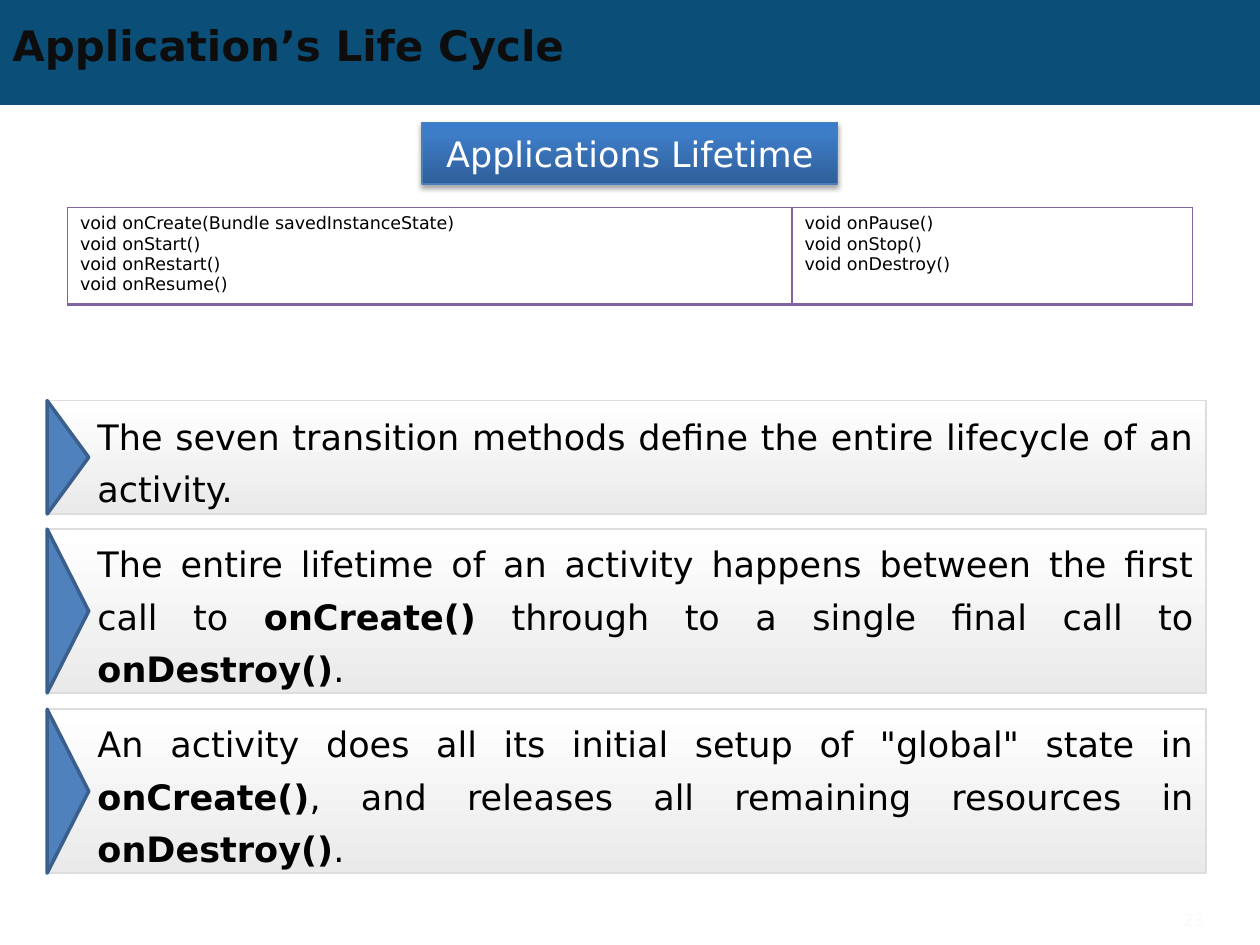
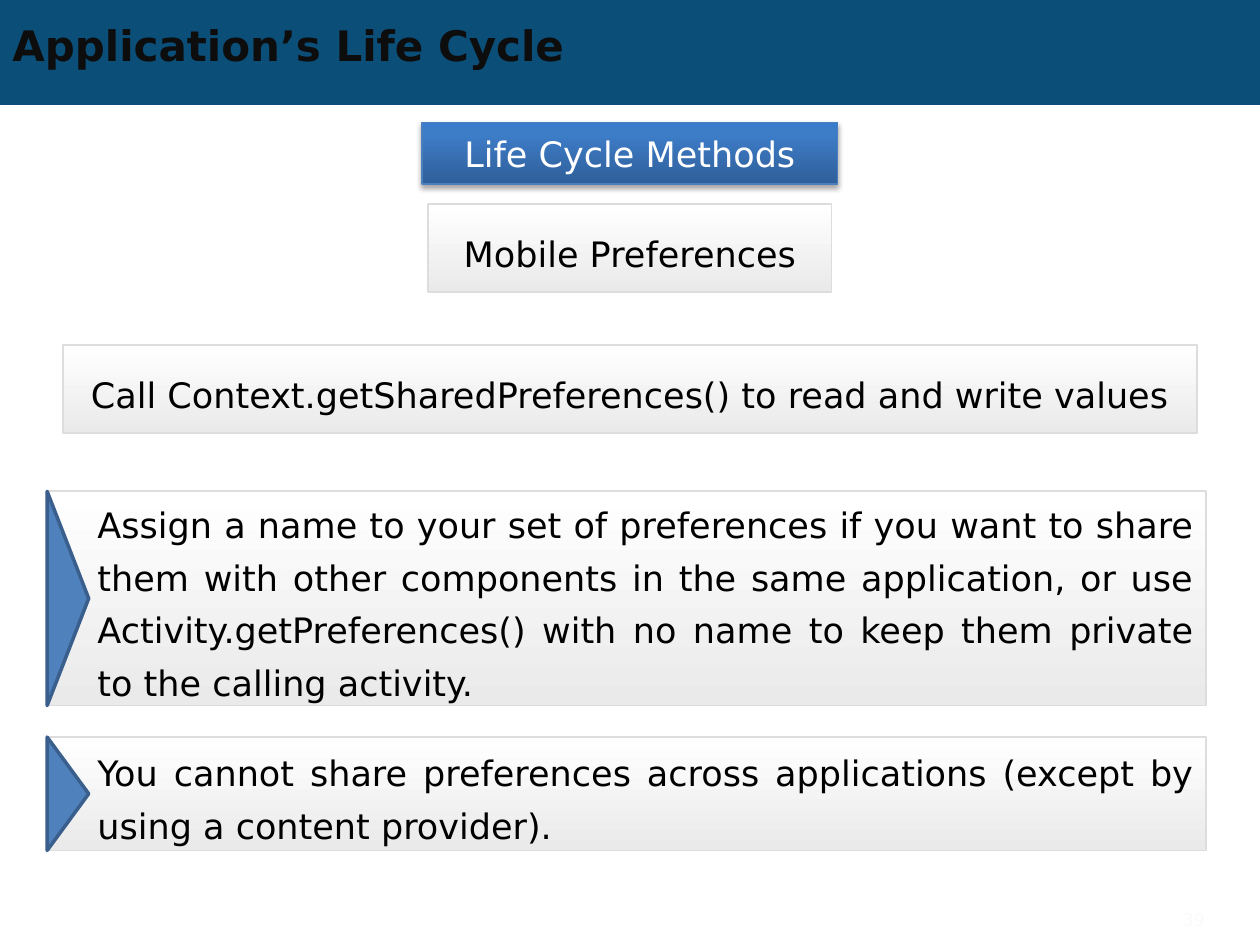
from pptx import Presentation, util as u
from pptx.dml.color import RGBColor
from pptx.enum import shapes, text
from pptx.oxml import parse_xml
from pptx.oxml.ns import nsdecls, qn

HUE = {"band": "0B4E78", "title": "0D0D0D", "ink": "000000", "white": "FFFFFF",
       "edge": "DDDDDD", "grey": "EAEAEA", "mark": "4F81BD", "rim": "3A5F8C",
       "head": "4B7EBC", "rule": "8064A2", "page": "FAFAFA"}
TOPIC = [(0, "2F5F99"), (80, "3D7CC7"), (100, "3A7CCB")]
PALE = [(0, HUE["white"]), (100, HUE["grey"])]
FONT = "DejaVu Sans"
CELL = u.Inches(0.1)  # the slide is a grid of 100 columns and 75 rows
COLS, ROWS = 100, 75
RECT = shapes.MSO_SHAPE.RECTANGLE
LEFT, MID, RIGHT, EVEN = (text.PP_ALIGN.LEFT, text.PP_ALIGN.CENTER,
                          text.PP_ALIGN.RIGHT, text.PP_ALIGN.JUSTIFY)


def grid(*box):
    return [round(n * CELL) for n in box]


def rgb(name):
    return RGBColor.from_string(HUE[name])


def write(para, words, size, hue, align=LEFT, bold=False):
    """Add runs to a paragraph; words between stars switch weight."""
    para.alignment = align
    for i, part in enumerate(words.split("*")):
        run = para.add_run()
        run.text = part
        font = run.font
        font.name, font.size = FONT, u.Pt(size)
        font.bold = bold != bool(i % 2)
        font.color.rgb = rgb(hue)


def frame(shape):
    tf = shape.text_frame
    tf.word_wrap = True
    tf.vertical_anchor = text.MSO_ANCHOR.MIDDLE
    return tf


def form(parent, box, kind=RECT, fill=None, edge=None, width=1):
    shape = parent.add_shape(kind, *grid(*box))
    shape.shadow.inherit = False
    if fill:
        shape.fill.solid()
        shape.fill.fore_color.rgb = rgb(fill)
    if edge:
        shape.line.color.rgb = rgb(edge)
        shape.line.width = u.Pt(width)
    else:
        shape.line.fill.background()
    return shape


def blend(shape, stops, angle):
    """Fill a shape with a linear gradient, angle clockwise in degrees."""
    shape.fill.background()
    marks = "".join(f'<a:gs pos="{pos * 1000}"><a:srgbClr val="{tone}"/></a:gs>'
                    for pos, tone in stops)
    props = shape._element.spPr
    props.replace(props.find(qn("a:noFill")), parse_xml(
        f'<a:gradFill {nsdecls("a")} rotWithShape="1"><a:gsLst>{marks}</a:gsLst>'
        f'<a:lin ang="{angle * 60000}" scaled="0"/></a:gradFill>'))


def shade(shape):
    shape._element.spPr.find(qn("a:effectLst")).append(parse_xml(
        f'<a:outerShdw {nsdecls("a")} blurRad="{u.Pt(3.1)}" dist="{u.Pt(1.8)}" '
        'dir="5400000" rotWithShape="0"><a:srgbClr val="000000">'
        '<a:alpha val="35000"/></a:srgbClr></a:outerShdw>'))


def label(slide, box, words, size, hue, align=LEFT, bold=False):
    tf = frame(slide.shapes.add_textbox(*grid(*box)))
    write(tf.paragraphs[0], words, size, hue, align, bold)


def base(deck, topic, page):
    """Start a slide with its band, title, topic plate and page number."""
    slide = deck.slides.add_slide(deck.slide_layouts[6])
    form(slide.shapes, (0, 0, COLS, 8.33), fill="band")
    label(slide, (0, 1.4, 90, 4.3), "Application’s Life Cycle", 24, "title", bold=True)
    plate = form(slide.shapes, (33.5, 9.7, 33, 4.9), edge="head", width=0.75)
    blend(plate, TOPIC, 270)
    shade(plate)
    write(frame(plate).paragraphs[0], topic, 20, "white", MID)
    label(slide, (86.6, 71.5, 10, 3), str(page), 10, "page", RIGHT)
    return slide


def panel(parent, box, words, align=MID):
    shape = form(parent, box, edge="edge")
    blend(shape, PALE, 90)
    para = frame(shape).paragraphs[0]
    para.line_spacing = u.Pt(30)
    write(para, words, 20, "ink", align)
    return shape


def point(slide, top, lines, words):
    """Place a panel as high as its lines need, with an arrow on its left side."""
    left, high, deep = 3.74, 4 * lines + 1, 3.3
    group = slide.shapes.add_group_shape().shapes
    tf = panel(group, (left, top, 92, high), words, EVEN).text_frame
    tf.margin_left, tf.margin_right = grid(4, 1)
    tf.margin_top = tf.margin_bottom = 0
    mark = form(group, (left + (deep - high) / 2, top + (high - deep) / 2, high, deep),
                shapes.MSO_SHAPE.ISOSCELES_TRIANGLE, "mark", "rim", 2)
    mark.rotation = 90


def border(cell, low):
    props = cell._tc.get_or_add_tcPr()
    for i, side in enumerate("LRTB"):
        width = u.Pt(low if side == "B" else 1)
        props.insert(i, parse_xml(
            f'<a:ln{side} {nsdecls("a")} w="{width}"><a:solidFill>'
            f'<a:srgbClr val="{HUE["rule"]}"/></a:solidFill></a:ln{side}>'))


def calls(slide, box, widths, lists):
    """Draw a one-row table with a list of methods in each cell."""
    table = slide.shapes.add_table(1, len(lists), *grid(*box)).table
    table.first_row = table.horz_banding = False
    for i, (width, names) in enumerate(zip(widths, lists)):
        table.columns[i].width = grid(width)[0]
        cell = table.cell(0, i)
        cell.fill.background()
        border(cell, 2)
        tf = cell.text_frame
        for j, name in enumerate(names):
            para = tf.add_paragraph() if j else tf.paragraphs[0]
            write(para, f"void {name}", 10, "ink")


def lifetime(deck):
    slide = base(deck, "Applications Lifetime", 23)
    point(slide, 31.8, 2,
          "The seven transition methods define the entire lifecycle of an activity.")
    point(slide, 42, 3,
          "The entire lifetime of an activity happens between the first call to "
          "*onCreate()* through to a single final call to *onDestroy()*.")
    point(slide, 56.3, 3,
          'An activity does all its initial setup of "global" state in '
          "*onCreate()*, and releases all remaining resources in *onDestroy()*.")
    calls(slide, (5.35, 16.45, 89.3, 7.4), (57.5, 31.8),
          (("onCreate(Bundle savedInstanceState)", "onStart()", "onRestart()", "onResume()"),
           ("onPause()", "onStop()", "onDestroy()")))


def methods(deck):
    slide = base(deck, "Life Cycle Methods", 39)
    point(slide, 39, 4,
          "Assign a name to your set of preferences if you want to share them with "
          "other components in the same application, or use Activity.getPreferences() "
          "with no name to keep them private to the calling activity.")
    point(slide, 58.5, 2,
          "You cannot share preferences across applications (except by using a "
          "content provider).")
    panel(slide.shapes, (34, 16.2, 32, 7), "Mobile Preferences")
    panel(slide.shapes, (5, 27.4, 90, 7),
          "Call Context.getSharedPreferences() to read and write values")


def main():
    deck = Presentation()
    deck.slide_width, deck.slide_height = grid(COLS, ROWS)
    lifetime(deck)
    methods(deck)
    deck.save("out.pptx")


if __name__ == "__main__":
    main()
